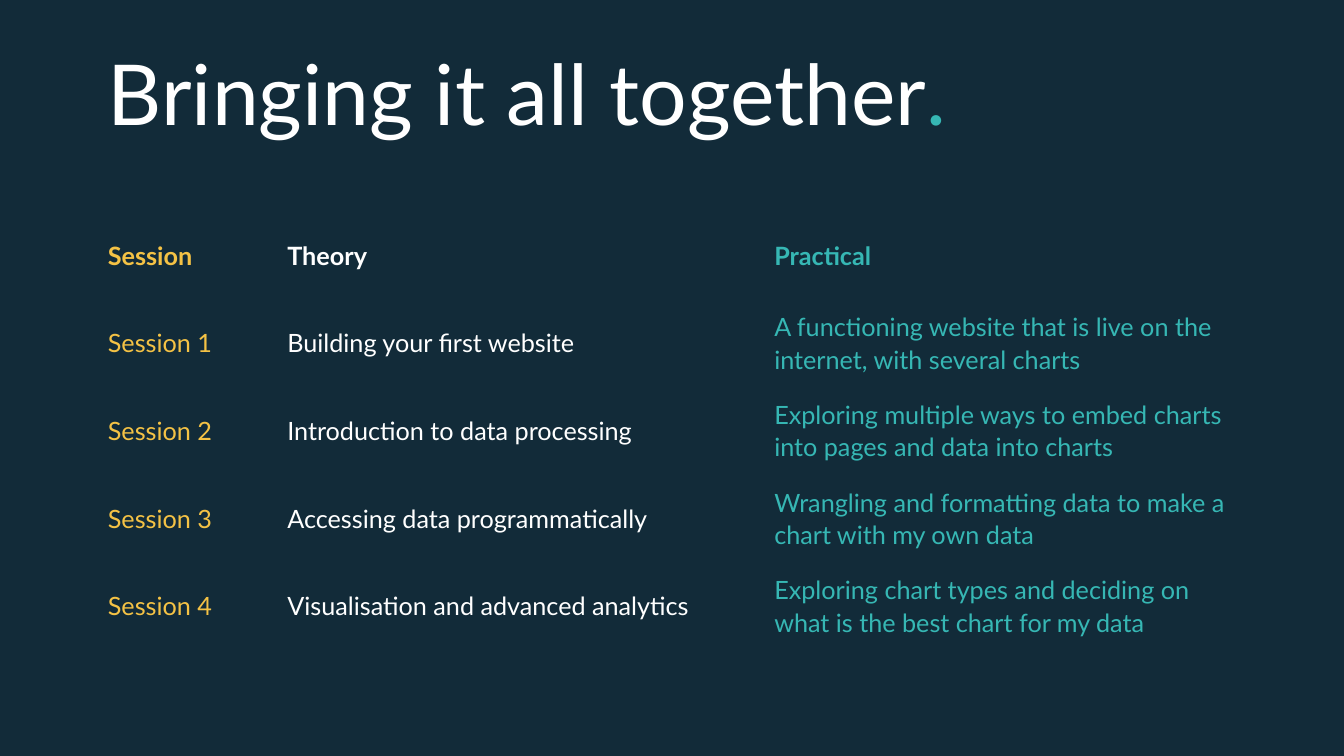
from dataclasses import dataclass

from pptx import Presentation
from pptx.dml.color import RGBColor
from pptx.enum.text import MSO_ANCHOR as Anchor, MSO_AUTO_SIZE as Fit, PP_ALIGN as Align
from pptx.oxml.ns import qn
from pptx.slide import Slide
from pptx.util import Inches, Pt

NAVY = RGBColor(0x12, 0x2B, 0x39)
WHITE = RGBColor(0xFF, 0xFF, 0xFF)
TEAL = RGBColor(0x36, 0xB7, 0xB4)
GOLD = RGBColor(0xF4, 0xC2, 0x45)
FONT = "Lato"
WIDE = Inches(13.33)
HIGH = Inches(7.5)
NO_GRID = "{2D5ABB26-0587-4C30-8999-92F81FD0307C}"


def across(share: float) -> int:
    return round(WIDE * share / 100)


def down(share: float) -> int:
    return round(HIGH * share / 100)


@dataclass(frozen=True)
class Column:
    head: str
    items: tuple[str, ...]
    color: RGBColor
    width: float
    side: float = 0.38
    edge: float = 0.27


COLUMNS = (
    Column("Session", tuple(f"Session {n}" for n in range(1, 5)), GOLD, 13.35),
    Column("Theory", (
        "Building your first website",
        "Introduction to data processing",
        "Accessing data programmatically",
        "Visualisation and advanced analytics",
    ), WHITE, 36.61),
    Column("Practical", (
        "A functioning website that is live on the internet, with several charts",
        "Exploring multiple ways to embed charts into pages and data into charts",
        "Wrangling and formatting data to make a chart with my own data",
        "Exploring chart types and deciding on what is the best chart for my data",
    ), TEAL, 34.88, 0, 0),
)
ROWS = 5
ROW_SHARE = 11.6


def add_title(slide: Slide) -> None:
    title = slide.shapes.title
    title.left, title.top = across(7.28), down(5.73)
    title.width, title.height = across(79.22), down(14)
    frame = title.text_frame
    frame.auto_size = Fit.NONE
    frame.word_wrap = True
    frame.vertical_anchor = Anchor.BOTTOM
    line = frame.paragraphs[0]
    line.alignment = Align.LEFT
    line.line_spacing = 0.9
    line.font.name, line.font.size = FONT, Pt(60)
    for text, color in (("Bringing it all together", WHITE), (".", TEAL)):
        run = line.add_run()
        run.text = text
        run.font.color.rgb = color


def fill_cell(cell, text: str, col: Column, bold: bool) -> None:
    cell.fill.background()
    cell.vertical_anchor = Anchor.MIDDLE
    cell.margin_left = cell.margin_right = across(col.side)
    cell.margin_top = cell.margin_bottom = down(col.edge)
    cell.text = text
    line = cell.text_frame.paragraphs[0]
    line.line_spacing = 1.07
    line.space_after = Pt(8)
    font = line.font
    font.name, font.size, font.bold = FONT, Pt(18), bold
    font.color.rgb = col.color


def add_plan(slide: Slide) -> None:
    width = sum(col.width for col in COLUMNS)
    frame = slide.shapes.add_table(
        ROWS, len(COLUMNS), across(7.65), down(27.87),
        across(width), down(ROWS * ROW_SHARE))
    table = frame.table
    table.first_row = table.horz_banding = False
    frame.element.find(".//" + qn("a:tableStyleId")).text = NO_GRID
    for row in table.rows:
        row.height = down(ROW_SHARE)
    for x, col in enumerate(COLUMNS):
        table.columns[x].width = across(col.width)
        for y, text in enumerate((col.head, *col.items)):
            fill_cell(table.cell(y, x), text, col, y == 0)


def main() -> None:
    deck = Presentation()
    deck.slide_width, deck.slide_height = WIDE, HIGH
    slide = deck.slides.add_slide(deck.slide_layouts.get_by_name("Title Only"))
    back = slide.background.fill
    back.solid()
    back.fore_color.rgb = NAVY
    add_title(slide)
    add_plan(slide)
    deck.save("out.pptx")


if __name__ == "__main__":
    main()
